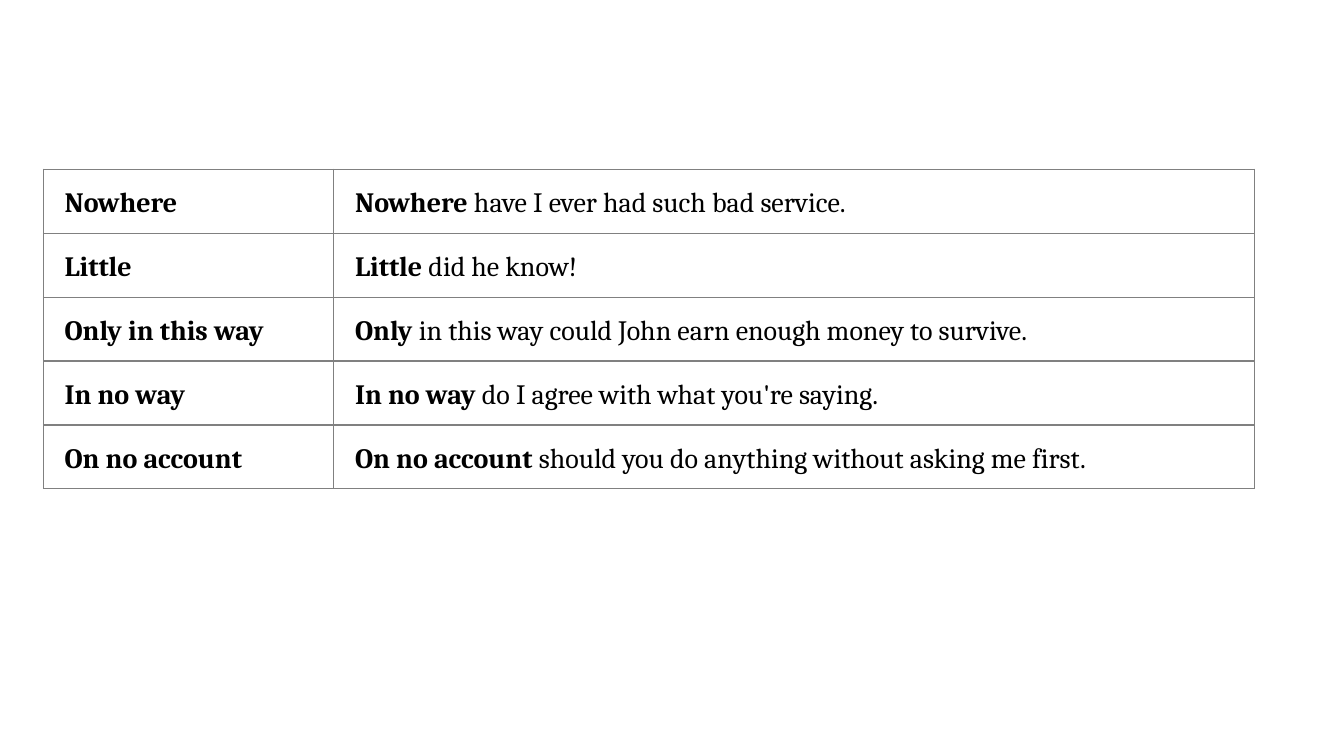
from lxml.etree import SubElement
from pptx import Presentation
from pptx.dml.color import RGBColor
from pptx.oxml.ns import qn
from pptx.util import Cm, Pt

BLACK = RGBColor(0x00, 0x00, 0x00)
GRAY = RGBColor(0x80, 0x80, 0x80)
FONT = "Cambria"
INSET = Cm(0.25)
INDENT = Cm(0.15)

EXAMPLES = [
    ("Nowhere", "Nowhere ", "have I ever had such bad service."),
    ("Little", "Little ", "did he know!"),
    ("Only in this way", "Only ", "in this way could John earn enough money to survive."),
    ("In no way", "In no way ", "do I agree with what you're saying."),
    ("On no account", "On no account", " should you do anything without asking me first."),
]


def add_borders(cell):
    properties = cell._tc.get_or_add_tcPr()
    for side in ("lnL", "lnR", "lnT", "lnB"):
        line = SubElement(properties, qn(f"a:{side}"), w=str(Pt(0.75)))
        fill = SubElement(line, qn("a:solidFill"))
        SubElement(fill, qn("a:srgbClr"), val=str(GRAY))


def fill_cell(cell, spans):
    add_borders(cell)
    cell.fill.background()
    cell.margin_left = cell.margin_right = INSET
    cell.margin_top = cell.margin_bottom = INSET
    para = cell.text_frame.paragraphs[0]
    para.line_spacing = 1.15
    indents = para._p.get_or_add_pPr()
    indents.set("marL", str(INDENT))
    indents.set("indent", "0")
    for text, bold in spans:
        span = para.add_run()
        span.text = text
        span.font.name = FONT
        span.font.size = Pt(15)
        span.font.bold = bold
        span.font.color.rgb = BLACK


def add_inversion_table(page, left, top, width, height):
    table = page.shapes.add_table(len(EXAMPLES), 2, left, top, width, height).table
    table.first_row = False
    table.horz_banding = False
    table.columns[0].width = Cm(5.49)
    table.columns[1].width = width - Cm(5.49)
    for row, (phrase, opening, rest) in zip(table.rows, EXAMPLES):
        row.height = height // len(EXAMPLES)
        fill_cell(row.cells[0], [(phrase, True)])
        fill_cell(row.cells[1], [(opening, True), (rest, False)])


def main():
    deck = Presentation()
    deck.slide_width = Cm(25.4)
    deck.slide_height = Cm(14.29)
    page = deck.slides.add_slide(deck.slide_layouts[6])
    add_inversion_table(page, Cm(0.82), Cm(3.2), Cm(22.89), Cm(6.04))
    deck.save("out.pptx")


if __name__ == "__main__":
    main()
